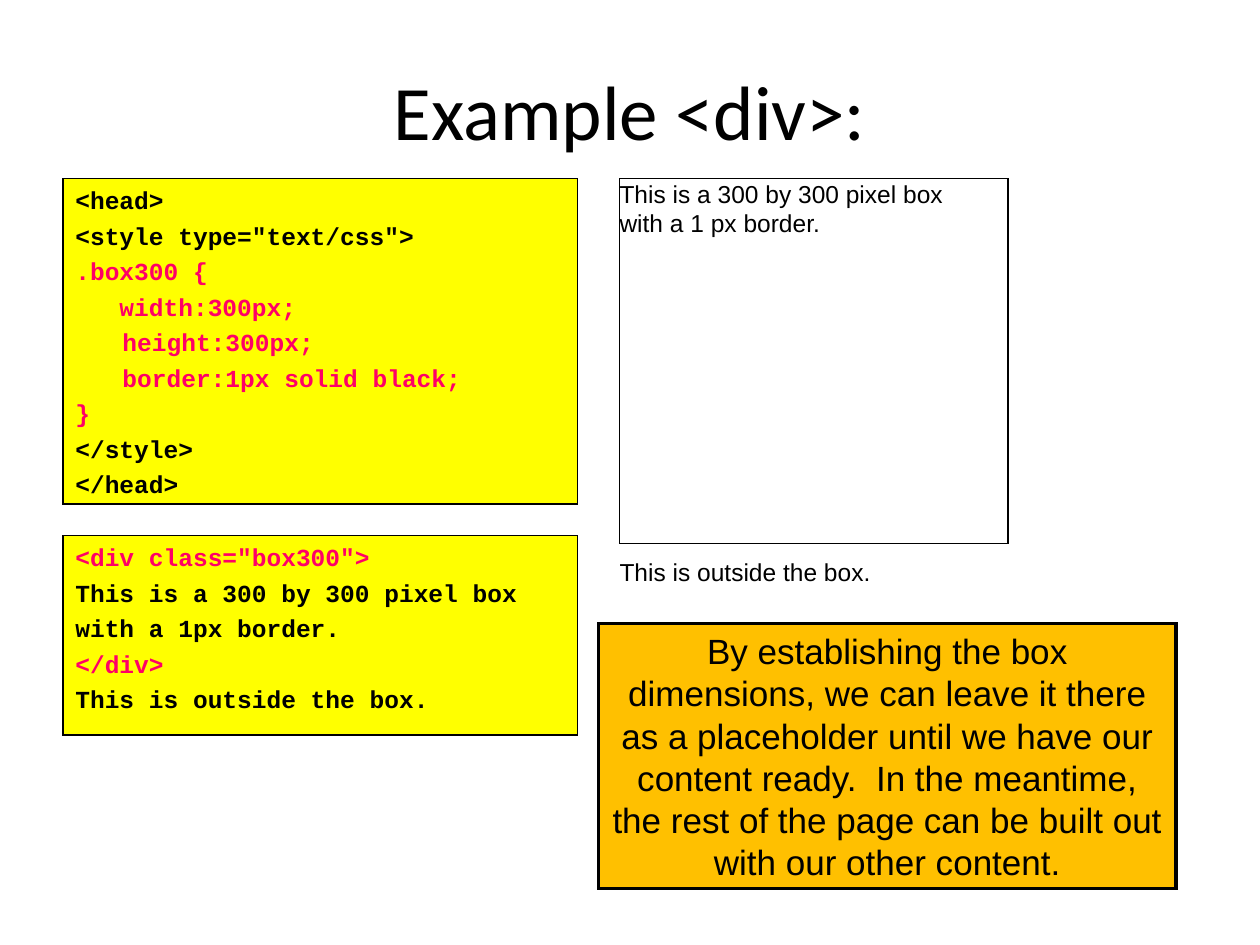
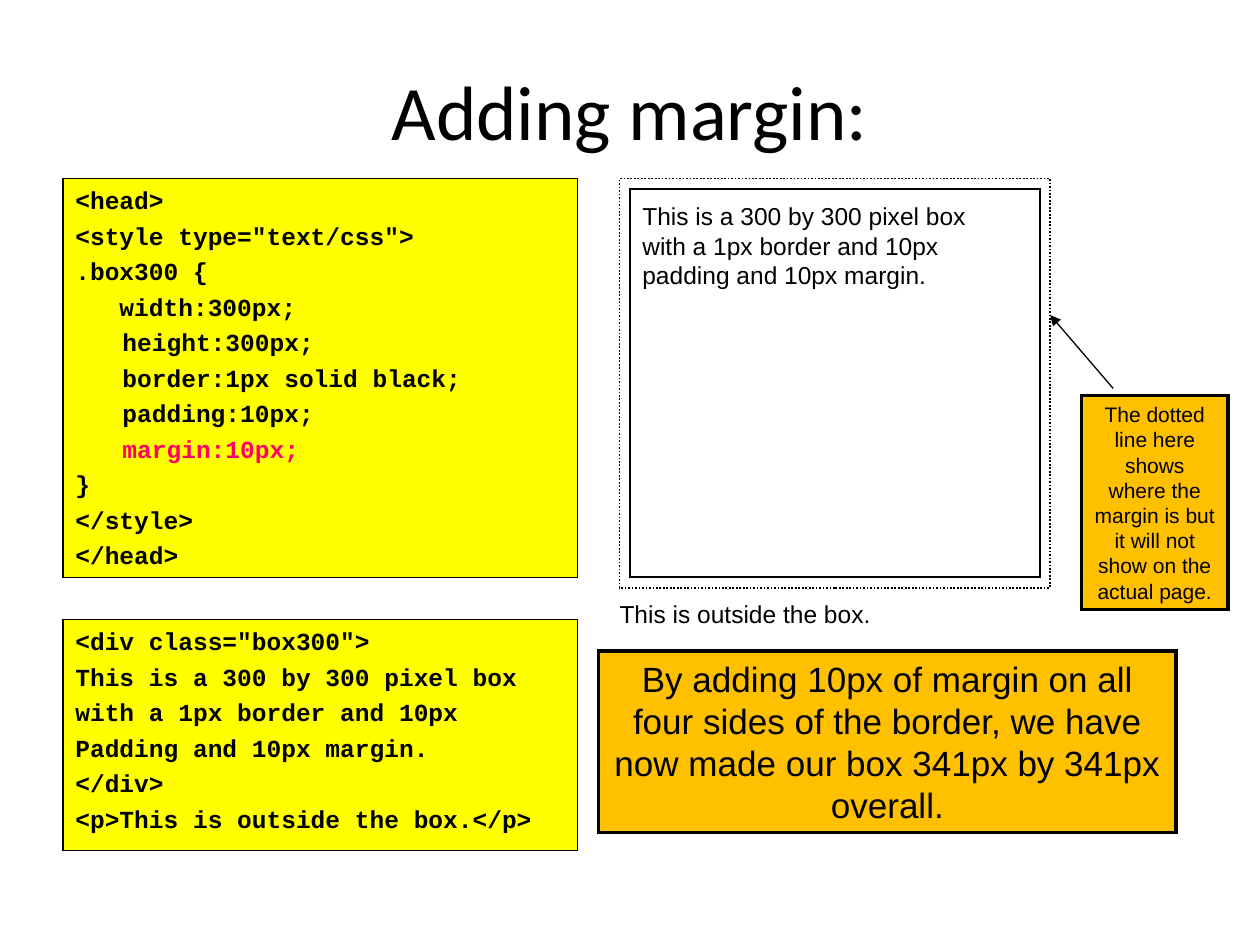
"""Build two slides that explain the CSS box model with a div."""
from lxml import etree
from pptx import Presentation
from pptx.dml.color import RGBColor
from pptx.enum.dml import MSO_LINE
from pptx.enum.shapes import MSO_CONNECTOR, MSO_SHAPE
from pptx.enum.text import MSO_ANCHOR, MSO_AUTO_SIZE, PP_ALIGN
from pptx.oxml.ns import qn
from pptx.util import Cm, Pt

RECTANGLE = MSO_SHAPE.RECTANGLE
STRAIGHT = MSO_CONNECTOR.STRAIGHT
DOTTED = MSO_LINE.ROUND_DOT
LEFT, CENTER = PP_ALIGN.LEFT, PP_ALIGN.CENTER
TOP, MIDDLE = MSO_ANCHOR.TOP, MSO_ANCHOR.MIDDLE
FIT_SHAPE = MSO_AUTO_SIZE.SHAPE_TO_FIT_TEXT

COLORS = {
    "ink": "000000",
    "code": "FFFF00",
    "callout": "FFC000",
    "highlight": "FF0066",
}
TITLE_FONT, BODY_FONT, CODE_FONT = "Calibri", "Arial", "Courier New"

CODE_LEFT, CODE_WIDTH = 1.27, 10.37
CONTENT_TOP = 3.6
DEMO_LEFT = 12.49
CALLOUT_LEFT, CALLOUT_WIDTH = 12.07, 11.64
CODE_INDENT = 0.95
CODE_SPACING = 3.5
MARGIN_GAP = 0.21
PADDING = (0.25, 0.13, 0.25, 0.13)
FLUSH = (0, 0, 0.25, 0.13)


def color(name):
    return RGBColor.from_string(COLORS[name])


def style_runs(paragraph, font_name, size, color_name="ink", bold=False):
    for run in paragraph.runs:
        run.font.name = font_name
        run.font.size = Pt(size)
        run.font.bold = bold
        run.font.color.rgb = color(color_name)


def set_frame(text_frame, insets):
    text_frame.word_wrap = True
    text_frame.vertical_anchor = TOP
    (text_frame.margin_left, text_frame.margin_top,
     text_frame.margin_right, text_frame.margin_bottom) = map(Cm, insets)


def write_text(text_frame, text, size, alignment=LEFT, insets=PADDING):
    set_frame(text_frame, insets)
    paragraph = text_frame.paragraphs[0]
    paragraph.text = text
    paragraph.alignment = alignment
    style_runs(paragraph, BODY_FONT, size)


def add_title_slide(presentation, title):
    slide = presentation.slides.add_slide(presentation.slide_layouts[5])
    placeholder = slide.shapes.title
    placeholder.left, placeholder.top = Cm(1.27), Cm(0.84)
    placeholder.width, placeholder.height = Cm(22.86), Cm(2.74)
    placeholder.text_frame.text = title
    placeholder.text_frame.vertical_anchor = MIDDLE
    paragraph = placeholder.text_frame.paragraphs[0]
    paragraph.alignment = CENTER
    style_runs(paragraph, TITLE_FONT, 44)
    return slide


def add_rectangle(slide, left, top, width, height, line_width, fill=None):
    shape = slide.shapes.add_shape(
        RECTANGLE, Cm(left), Cm(top), Cm(width), Cm(height))
    shape.shadow.inherit = False
    if fill:
        shape.fill.solid()
        shape.fill.fore_color.rgb = color(fill)
    else:
        shape.fill.background()
    shape.line.color.rgb = color("ink")
    shape.line.width = Pt(line_width)
    etree.SubElement(
        shape.line._get_or_add_ln(), qn("a:miter"), lim="800000")
    return shape


def indent_code(paragraph):
    properties = paragraph._p.get_or_add_pPr()
    properties.set("marL", str(Cm(CODE_INDENT)))
    properties.set("indent", str(-Cm(CODE_INDENT)))
    tab_list = etree.SubElement(properties, qn("a:tabLst"))
    etree.SubElement(tab_list, qn("a:tab"), pos="0", algn="l")


def add_code(slide, top, height, lines, highlighted=()):
    shape = add_rectangle(
        slide, CODE_LEFT, top, CODE_WIDTH, height, 0.75, "code")
    text_frame = shape.text_frame
    set_frame(text_frame, PADDING)
    for index, line in enumerate(lines):
        paragraph = (text_frame.add_paragraph() if index
                     else text_frame.paragraphs[0])
        indent_code(paragraph)
        paragraph.text = line
        paragraph.alignment = LEFT
        if index:
            paragraph.space_before = Pt(CODE_SPACING)
        color_name = "highlight" if line in highlighted else "ink"
        style_runs(paragraph, CODE_FONT, 14, color_name, bold=True)


def add_callout(slide, top, height, text, size=20,
                left=CALLOUT_LEFT, width=CALLOUT_WIDTH):
    shape = add_rectangle(slide, left, top, width, height, 2, "callout")
    write_text(shape.text_frame, text, size, CENTER)
    shape.text_frame.auto_size = FIT_SHAPE


def add_demo_box(slide, left, top, width, height, text, insets):
    shape = add_rectangle(slide, left, top, width, height, 1)
    write_text(shape.text_frame, text, 14, insets=insets)


def add_outside_text(slide, top):
    box = slide.shapes.add_textbox(
        Cm(DEMO_LEFT), Cm(top), Cm(9.53), Cm(0.74))
    write_text(box.text_frame, "This is outside the box.", 14, insets=FLUSH)


def add_arrow(slide, start, end):
    connector = slide.shapes.add_connector(
        STRAIGHT, *map(Cm, start), *map(Cm, end))
    connector.line.color.rgb = color("ink")
    connector.line.width = Pt(0.75)
    etree.SubElement(
        connector.line._get_or_add_ln(), qn("a:tailEnd"), type="triangle")
    etree.SubElement(connector._element.spPr, qn("a:effectLst"))


def style_block(rules):
    return ["<head>", '<style type="text/css">', *rules, "</style>", "</head>"]


def build_div_slide(presentation, rules):
    slide = add_title_slide(presentation, "Example <div>:")
    add_callout(
        slide, 12.57, 5.34,
        "By establishing the box dimensions, we can leave it there as a "
        "placeholder until we have our content ready.  In the meantime, the "
        "rest of the page can be built out with our other content.")
    css = [*rules, "}"]
    add_code(slide, CONTENT_TOP, 6.56, style_block(css), css)
    opening, closing = '<div class="box300">', "</div>"
    add_code(slide, 10.8, 4.02, [
        opening, "This is a 300 by 300 pixel box", "with a 1px border.",
        closing, "This is outside the box."], (opening, closing))
    add_demo_box(
        slide, DEMO_LEFT, CONTENT_TOP, 7.83, 7.36,
        "This is a 300 by 300 pixel box\nwith a 1 px border.", FLUSH)
    add_outside_text(slide, 11.22)


def build_margin_slide(presentation, rules):
    slide = add_title_slide(presentation, "Adding margin:")
    add_callout(
        slide, 13.12, 3.66,
        "By adding 10px of margin on all four sides of the border, we have "
        "now made our box 341px by 341px overall.")
    margin_rule = "\tmargin:10px;"
    css = [*rules, "\tpadding:10px;", margin_rule, "}"]
    add_code(slide, CONTENT_TOP, 8.05, style_block(css), (margin_rule,))
    add_code(slide, 12.49, 4.66, [
        '<div class="box300">', "This is a 300 by 300 pixel box",
        "with a 1px border and 10px", "Padding and 10px margin.", "</div>",
        "<p>This is outside the box.</p>"])

    width, height = 8.68, 8.25
    add_demo_box(
        slide, DEMO_LEFT + MARGIN_GAP, CONTENT_TOP + MARGIN_GAP,
        width - 2 * MARGIN_GAP, height - 2 * MARGIN_GAP,
        "This is a 300 by 300 pixel box\nwith a 1px border and 10px\n"
        "padding and 10px margin.", (0.25, 0.25, 0.25, 0.13))
    add_outside_text(slide, 12.07)
    margin_edge = add_rectangle(
        slide, DEMO_LEFT, CONTENT_TOP, width, height, 1)
    margin_edge.line.dash_style = DOTTED
    add_callout(
        slide, 7.97, 4.32,
        "The dotted line here shows where the margin is but it will not show "
        "on the actual page.", size=12, left=21.8, width=2.96)
    add_arrow(slide, (22.44, 7.83), (DEMO_LEFT + width, 6.35))


def main():
    presentation = Presentation()
    presentation.slide_width, presentation.slide_height = Cm(25.4), Cm(19.05)
    rules = [".box300 {", "   width:300px;", "\theight:300px;",
             "\tborder:1px solid black;"]
    build_div_slide(presentation, rules)
    build_margin_slide(presentation, rules)
    presentation.save("out.pptx")


if __name__ == "__main__":
    main()
